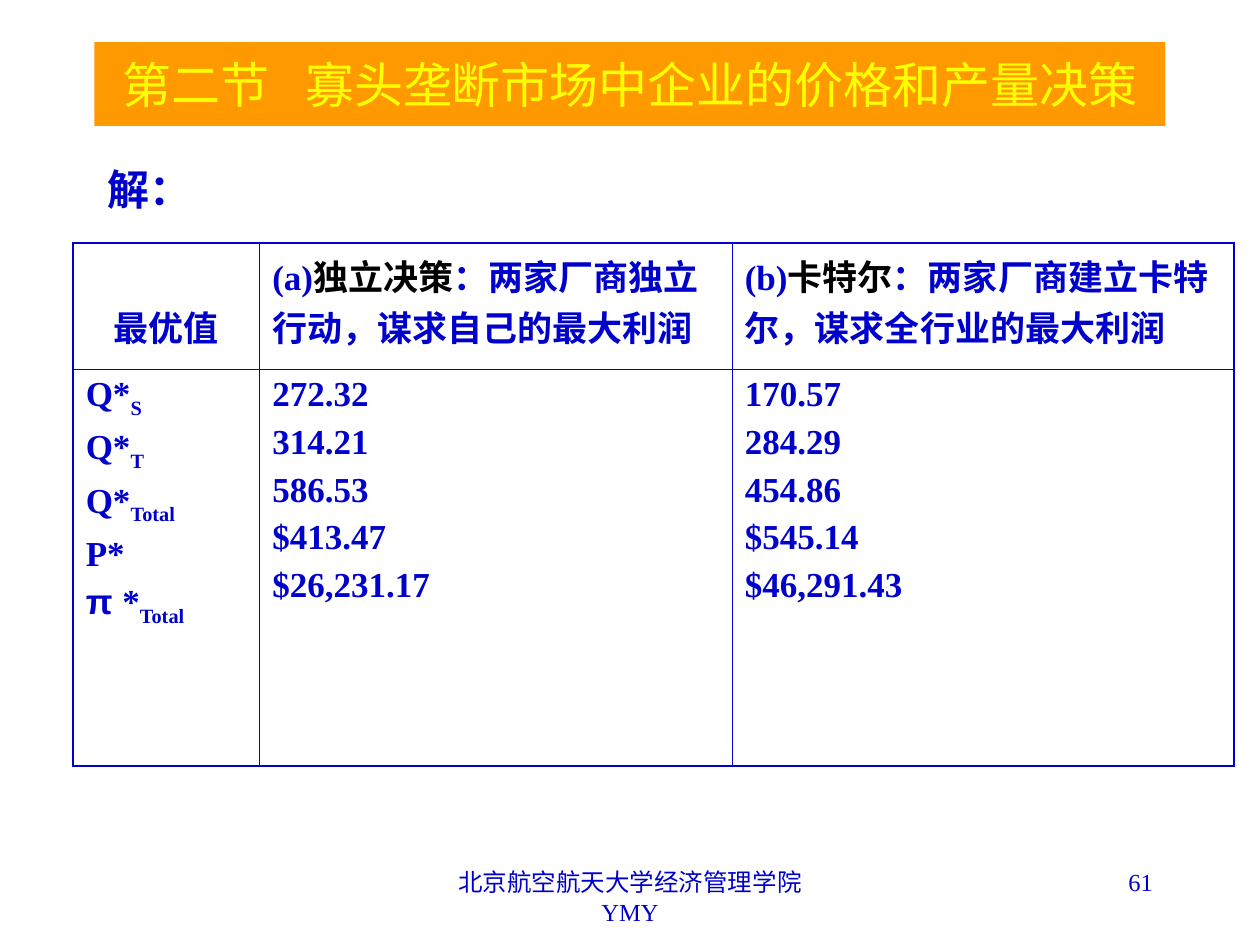
from dataclasses import dataclass
from typing import Any

from lxml.etree import SubElement
from pptx import Presentation
from pptx.dml.color import RGBColor
from pptx.enum.shapes import MSO_SHAPE
from pptx.enum.text import MSO_ANCHOR, MSO_AUTO_SIZE, PP_ALIGN
from pptx.oxml.ns import qn
from pptx.util import Pt


@dataclass(frozen=True)
class Theme:
    blue: str = "0000CC"
    black: str = "000000"
    orange: str = "FF9900"
    yellow: str = "FFFF00"
    serif: str = "Times New Roman"
    sans: str = "Arial"
    title: int = 28
    label: int = 24
    body: int = 20
    foot: int = 14
    outer: float = 1.08
    inner: float = 0.45


THEME = Theme()


@dataclass(frozen=True)
class Look:
    size: int
    color: str = THEME.blue
    name: str = THEME.serif
    bold: bool = False


@dataclass(frozen=True)
class Run:
    text: str
    look: Look
    base: int = 0
    gap: int = 0


@dataclass(frozen=True)
class Box:
    left: float
    top: float
    width: float
    height: float
    lines: list[list[Run]]
    align: PP_ALIGN = PP_ALIGN.CENTER
    fill: str = ""
    wrap: bool = True


TITLE = Look(THEME.title, THEME.yellow)
LABEL = Look(THEME.label, bold=True)
BODY = Look(THEME.body, bold=True)
TERM = Look(THEME.body, THEME.black, THEME.sans, True)
GREEK = Look(THEME.body, THEME.blue, THEME.sans, True)
FOOT = Look(THEME.foot)

BOXES = [
    Box(246, 492, 228, 36, [[Run("北京航空航天大学经济管理学院", FOOT)], [Run("YMY", FOOT)]]),
    Box(516, 492, 150, 36, [[Run("61", FOOT)]], PP_ALIGN.RIGHT),
    Box(54, 24, 612, 48, [[
        Run("第二节", TITLE),
        Run(" ", TITLE, gap=14),
        Run("寡头垄断市场中企业的价格和产量决策", TITLE),
    ]], fill=THEME.orange),
    Box(42.5, 90, 62, 36, [[Run("解：", LABEL)]], wrap=False),
]


def head(mark: str, term: str, rest: str) -> list[list[Run]]:
    return [[Run(mark, BODY), Run(term, TERM), Run(rest, BODY)]]


def symbol(sub: str) -> list[Run]:
    return [Run("Q*", BODY), Run(sub, BODY, -25)]


def plain(*texts: str) -> list[list[Run]]:
    return [[Run(text, BODY)] for text in texts]


LEFT, TOP = 41.8, 139
COLS = [106.6, 270, 286.6]
ROWS = [72, 226.8]
CELLS = [
    [
        plain("最优值"),
        head("(a)", "独立决策", "：两家厂商独立行动，谋求自己的最大利润"),
        head("(b)", "卡特尔", "：两家厂商建立卡特尔，谋求全行业的最大利润"),
    ],
    [
        [*map(symbol, ("S", "T", "Total")), *plain("P*"),
         [Run("π ", GREEK), Run("*", BODY), Run("Total", BODY, -25)]],
        plain("272.32", "314.21", "586.53", "$413.47", "$26,231.17"),
        plain("170.57", "284.29", "454.86", "$545.14", "$46,291.43"),
    ],
]


def add_run(para: Any, item: Run) -> None:
    run = para.add_run()
    run.text = item.text
    look = item.look
    values = {"size": Pt(look.size), "name": look.name, "bold": look.bold}
    for key, value in values.items():
        setattr(run.font, key, value)
    run.font.color.rgb = RGBColor.from_string(look.color)
    extras = {"baseline": item.base * 1000, "spc": item.gap * 100}
    for key, value in extras.items():
        if value:
            run.font._element.set(key, str(value))


def write(frame: Any, lines: list[list[Run]], align: PP_ALIGN, before: float = 0) -> None:
    for i, line in enumerate(lines):
        para = frame.add_paragraph() if i else frame.paragraphs[0]
        para.alignment = align
        if i and before:
            para.space_before = Pt(before)
        for item in line:
            add_run(para, item)


def draw_box(slide: Any, box: Box) -> None:
    place = [Pt(v) for v in (box.left, box.top, box.width, box.height)]
    if box.fill:
        shape = slide.shapes.add_shape(MSO_SHAPE.RECTANGLE, *place)
        shape.shadow.inherit = False
        shape.fill.solid()
        shape.fill.fore_color.rgb = RGBColor.from_string(box.fill)
        shape.line.fill.background()
    else:
        shape = slide.shapes.add_textbox(*place)
    frame = shape.text_frame
    values = {
        "word_wrap": box.wrap,
        "auto_size": MSO_AUTO_SIZE.NONE if box.wrap else MSO_AUTO_SIZE.SHAPE_TO_FIT_TEXT,
        "vertical_anchor": MSO_ANCHOR.MIDDLE if box.fill else MSO_ANCHOR.TOP,
    }
    for key, value in values.items():
        setattr(frame, key, value)
    write(frame, box.lines, box.align)


def edge(cell: Any, side: str, width: float) -> None:
    line = SubElement(cell._tc.get_or_add_tcPr(), qn(f"a:ln{side}"), w=str(int(Pt(width))))
    fill = SubElement(line, qn("a:solidFill"))
    SubElement(fill, qn("a:srgbClr"), val=THEME.blue)


def draw_table(slide: Any) -> None:
    place = [Pt(v) for v in (LEFT, TOP, sum(COLS), sum(ROWS))]
    table = slide.shapes.add_table(len(ROWS), len(COLS), *place).table
    for key in ("first_row", "horz_banding"):
        setattr(table, key, False)
    for col, width in zip(table.columns, COLS):
        col.width = Pt(width)
    for row, height in zip(table.rows, ROWS):
        row.height = Pt(height)
    for r, row in enumerate(CELLS):
        for c, lines in enumerate(row):
            cell = table.cell(r, c)
            sides = {"L": c == 0, "R": c == len(COLS) - 1, "T": r == 0, "B": r == len(ROWS) - 1}
            for side, rim in sides.items():
                edge(cell, side, THEME.outer if rim else THEME.inner)
            cell.fill.background()
            write(cell.text_frame, lines, PP_ALIGN.LEFT, 5)
    corner = table.cell(0, 0)
    corner.vertical_anchor = MSO_ANCHOR.BOTTOM
    corner.margin_bottom = Pt(10)
    corner.text_frame.paragraphs[0].alignment = PP_ALIGN.CENTER


def main() -> None:
    deck = Presentation()
    deck.slide_width, deck.slide_height = Pt(720), Pt(540)
    slide = deck.slides.add_slide(deck.slide_layouts[6])
    draw_table(slide)
    for box in BOXES:
        draw_box(slide, box)
    deck.save("out.pptx")


if __name__ == "__main__":
    main()
